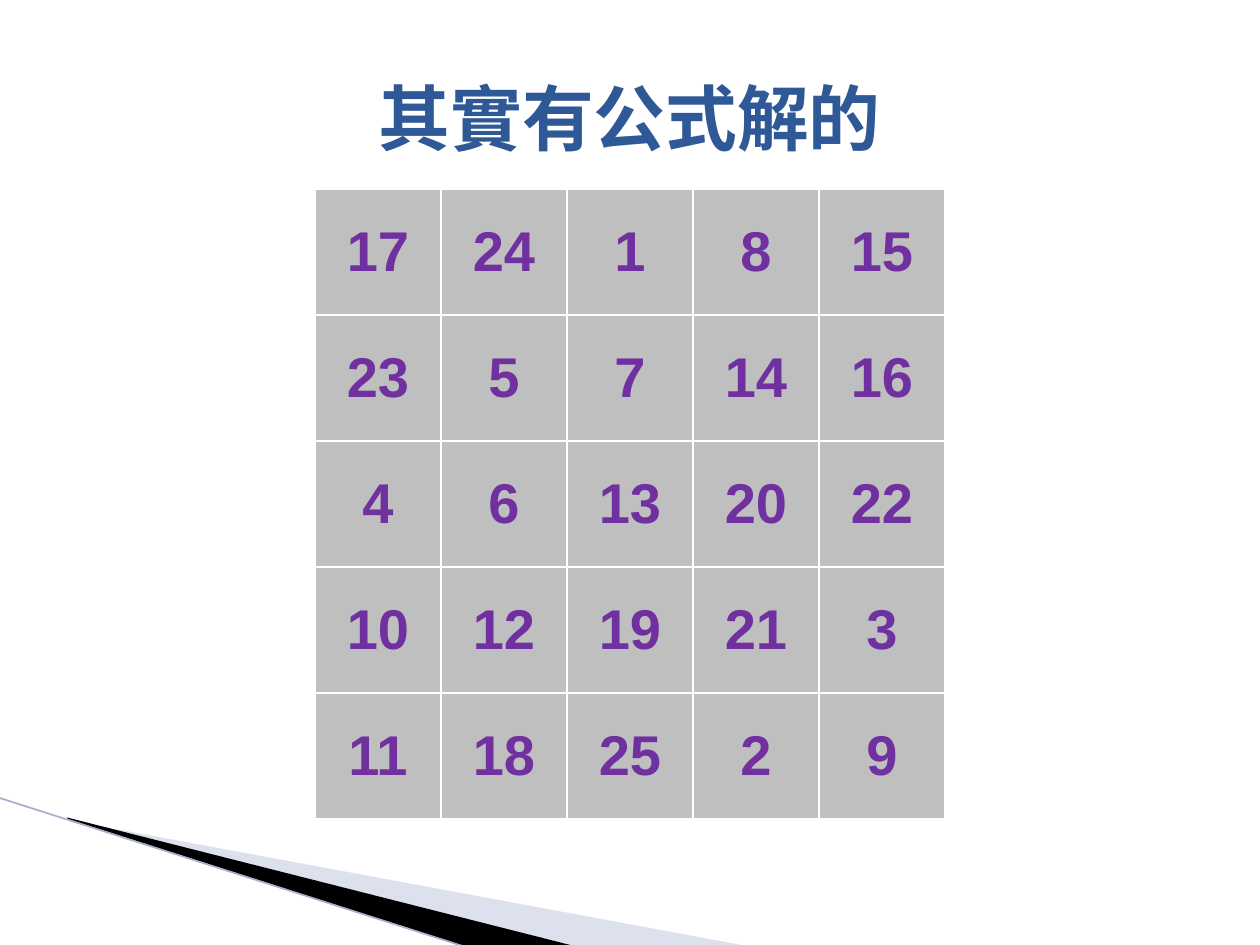
from lxml import etree
from pptx import Presentation
from pptx import util as u
from pptx.dml import color
from pptx.enum import shapes, text
from pptx.oxml import ns

MAGIC_SQUARE = [
    [17, 24, 1, 8, 15],
    [23, 5, 7, 14, 16],
    [4, 6, 13, 20, 22],
    [10, 12, 19, 21, 3],
    [11, 18, 25, 2, 9],
]
CELL_SIDE = u.Cm(2.54)
TITLE_FONT = {"name": "Courier New", "size": u.Pt(41), "bold": True}
NUMBER_FONT = {"name": "Arial", "size": u.Pt(32), "bold": True}
CELL_FORMAT = {
    "vertical_anchor": text.MSO_ANCHOR.MIDDLE,
    "margin_left": u.Cm(0.18), "margin_right": u.Cm(0.18),
    "margin_top": u.Cm(0.1), "margin_bottom": u.Cm(0.1),
}


def set_attributes(target, values):
    for name, value in values.items():
        setattr(target, name, value)


def paint(colored, hex_color):
    """Give a fill, or a font's or line's fill, one solid colour."""
    colored.solid()
    colored.fore_color.rgb = color.RGBColor.from_string(hex_color)


def write(frame, wording, font_format, hex_color):
    paragraph = frame.paragraphs[0]
    paragraph.alignment = text.PP_ALIGN.CENTER
    run = paragraph.add_run()
    run.text = wording
    set_attributes(run.font, font_format)
    paint(run.font.fill, hex_color)


def add_title(slide, wording):
    title = slide.shapes.title
    set_attributes(title, {"left": u.Cm(1.27), "top": u.Cm(0.76),
                           "width": u.Cm(22.86), "height": u.Cm(3.18)})
    set_attributes(title.text_frame, {"auto_size": text.MSO_AUTO_SIZE.NONE,
                                      "vertical_anchor": text.MSO_ANCHOR.MIDDLE})
    write(title.text_frame, wording, TITLE_FONT, "2F5897")


def add_wedge(slide, corners, hex_color, opacity=100):
    """Draw a closed outline through corners given in centimetres."""
    start, *others = [(u.Cm(x), u.Cm(y)) for x, y in corners]
    outline = slide.shapes.build_freeform(*start)
    outline.add_line_segments(others, close=True)
    wedge = outline.convert_to_shape()
    wedge.shadow.inherit = False
    wedge.line.fill.background()
    paint(wedge.fill, hex_color)
    if opacity < 100:
        rgb = wedge._element.spPr.find(ns.qn("a:solidFill"))[0]
        etree.SubElement(rgb, ns.qn("a:alpha"), val=str(opacity * 1000))


def add_edge(slide, start, end, hex_color, width):
    edge = slide.shapes.add_connector(
        shapes.MSO_CONNECTOR.STRAIGHT, *[u.Cm(c) for c in (*start, *end)])
    paint(edge.line.fill, hex_color)
    edge.line.width = u.Pt(width)
    etree.SubElement(edge._element.spPr, ns.qn("a:effectLst"))


def add_borders(cell, hex_color, width):
    properties = cell._tc.get_or_add_tcPr()
    for position, side in enumerate(("lnL", "lnR", "lnT", "lnB")):
        border = etree.Element(ns.qn(f"a:{side}"), w=str(u.Pt(width)))
        fill = etree.SubElement(border, ns.qn("a:solidFill"))
        etree.SubElement(fill, ns.qn("a:srgbClr"), val=hex_color)
        properties.insert(position, border)


def add_number_grid(slide, numbers, left, top):
    rows, columns = len(numbers), len(numbers[0])
    grid = slide.shapes.add_table(rows, columns, left, top,
                                  columns * CELL_SIDE, rows * CELL_SIDE).table
    set_attributes(grid, {"first_row": False, "horz_banding": False})
    for r, row in enumerate(numbers):
        for c, number in enumerate(row):
            cell = grid.cell(r, c)
            set_attributes(cell, CELL_FORMAT)
            paint(cell.fill, "BFBFBF")
            add_borders(cell, "FFFFFF", 1)
            write(cell.text_frame, str(number), NUMBER_FONT, "7030A0")


def main():
    deck = Presentation()
    set_attributes(deck, {"slide_width": u.Cm(25.4), "slide_height": u.Cm(19.05)})
    slide = deck.slides.add_slide(deck.slide_layouts[5])
    paint(slide.background.fill, "FFFFFF")

    add_wedge(slide, [(1.4, 16.54), (15.11, 19.08), (11.58, 19.08), (1.4, 16.51)],
              "ACB4D5", opacity=40)
    add_wedge(slide, [(1.35, 16.48), (11.61, 19.08), (9.45, 19.1), (1.37, 16.51)],
              "000000")
    add_edge(slide, (-0.03, 16.08), (9.42, 19.1), "A4AED0", 0.95)
    add_title(slide, "其實有公式解的")
    add_number_grid(slide, MAGIC_SQUARE, u.Cm(6.35), u.Cm(3.81))
    deck.save("out.pptx")


if __name__ == "__main__":
    main()
